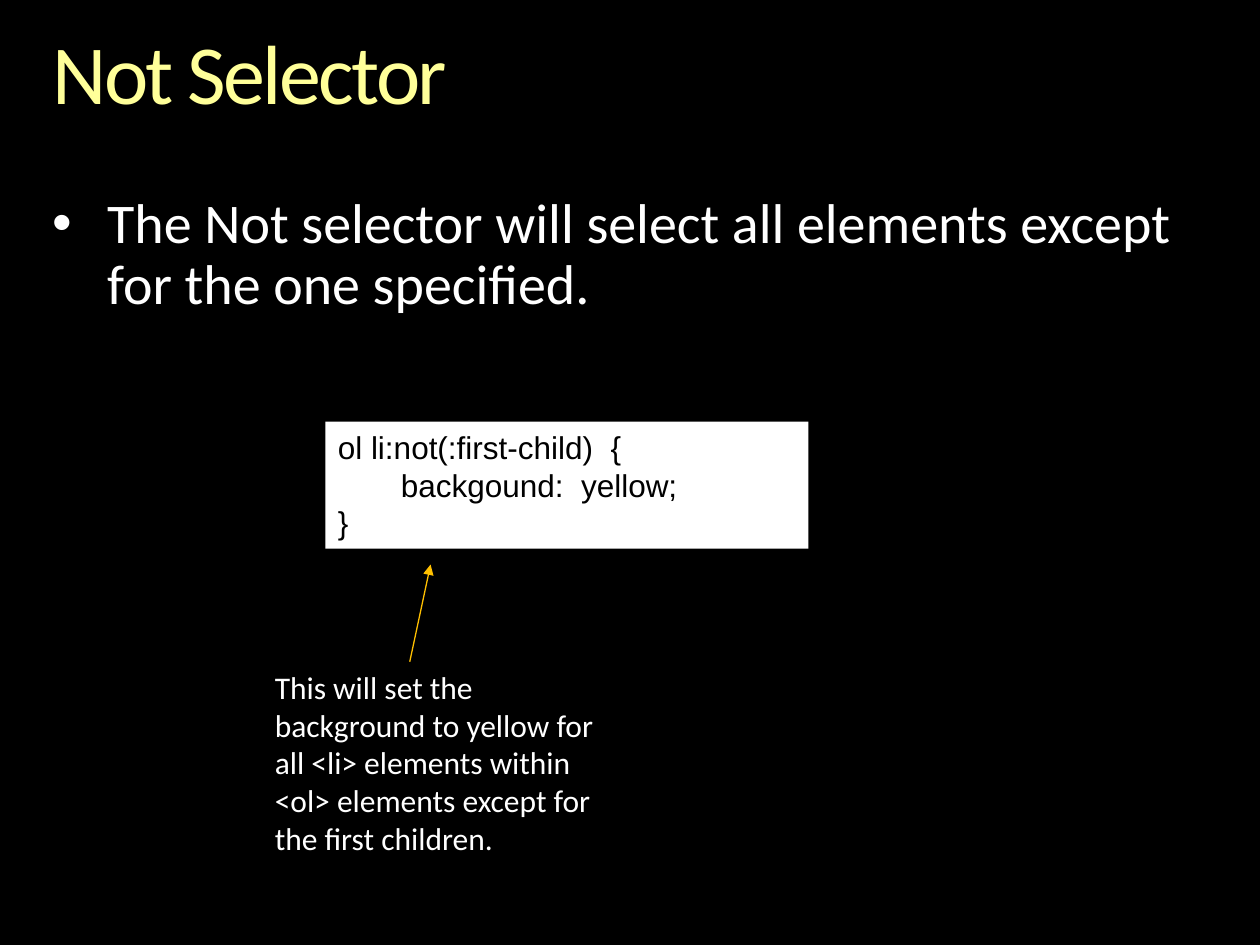
from pptx import Presentation
from pptx.dml.color import RGBColor
from pptx.enum import dml, shapes, text
from pptx.oxml import ns, xmlchemy
from pptx.util import Cm, Pt

BLACK, WHITE, YELLOW, AMBER = "000000", "FFFFFF", "FFFF99", "FFC000"


def paint(color_format, hex_color):
    color_format.rgb = RGBColor.from_string(hex_color)


def add_child(parent, tag, **attributes):
    """Append a DrawingML element that python-pptx has no method for."""
    child = xmlchemy.OxmlElement(tag)
    for name, value in attributes.items():
        child.set(name, value)
    parent.append(child)
    return child


def write(shape, content, size=18, font="Calibri", color=WHITE,
          line_spacing=None, tracking=None, bullet_indent=None, margin=None):
    """Fill a shape with one paragraph per line of content."""
    frame = shape.text_frame
    frame.word_wrap = True
    frame.vertical_anchor = text.MSO_ANCHOR.TOP
    if margin is not None:
        frame.margin_left = frame.margin_right = margin
        frame.margin_top = frame.margin_bottom = margin
    for index, line in enumerate(content.split("\n")):
        paragraph = frame.add_paragraph() if index else frame.paragraphs[0]
        paragraph.alignment = text.PP_ALIGN.LEFT
        paragraph.line_spacing = line_spacing
        if bullet_indent:
            properties = paragraph._p.get_or_add_pPr()
            properties.set("marL", str(bullet_indent))
            properties.set("indent", str(-bullet_indent))
            add_child(properties, "a:buFont", typeface="Arial")
            add_child(properties, "a:buChar", char="•")
        run = paragraph.add_run()
        run.text = line
        run.font.size = Pt(size)
        run.font.name = font
        paint(run.font.color, color)
        if tracking is not None:
            run._r.get_or_add_rPr().set("spc", str(round(tracking * 100)))


class SlideBuilder:
    def __init__(self, slide, background=BLACK):
        self.slide = slide
        slide.background.fill.solid()
        paint(slide.background.fill.fore_color, background)

    def text_box(self, left, top, width, height, content, **style):
        box = self.slide.shapes.add_textbox(Cm(left), Cm(top), Cm(width), Cm(height))
        write(box, content, **style)

    def code_box(self, left, top, width, height, code):
        box = self.slide.shapes.add_shape(
            shapes.MSO_SHAPE.RECTANGLE, Cm(left), Cm(top), Cm(width), Cm(height))
        box.shadow.inherit = False
        box.fill.solid()
        paint(box.fill.fore_color, WHITE)
        box.line.fill.background()
        write(box, code, font="Arial", color=BLACK)

    def arrow(self, start_x, start_y, end_x, end_y, color=AMBER):
        arrow = self.slide.shapes.add_connector(
            shapes.MSO_CONNECTOR.STRAIGHT,
            Cm(start_x), Cm(start_y), Cm(end_x), Cm(end_y))
        arrow.line.width = Pt(0.75)
        arrow.line.dash_style = dml.MSO_LINE.SOLID
        paint(arrow.line.color, color)
        properties = arrow._element.spPr
        add_child(properties.find(ns.qn("a:ln")), "a:tailEnd", type="triangle")
        add_child(properties, "a:effectLst")


def main():
    presentation = Presentation()
    presentation.slide_width, presentation.slide_height = Cm(25.4), Cm(19.05)
    slide = presentation.slides.add_slide(presentation.slide_layouts[6])
    builder = SlideBuilder(slide)

    builder.text_box(1.06, 0.64, 23.28, 1.85, "Not Selector", size=48,
                     color=YELLOW, line_spacing=0.9, tracking=-1.5, margin=0)
    builder.text_box(
        1.06, 3.94, 23.28, 2.46,
        "The Not selector will select all elements except for the one specified.",
        size=32, line_spacing=0.9, bullet_indent=Cm(1.1), margin=0)
    builder.code_box(6.56, 8.5, 9.74, 2.56,
                     "ol li:not(:first-child)  {\n\tbackgound:  yellow;\n}")
    builder.text_box(
        5.29, 13.34, 7.41, 4.11,
        "This will set the background to yellow for all <li> elements within "
        "<ol> elements except for the first children.")
    builder.arrow(8.26, 13.34, 8.68, 11.38)

    presentation.save("out.pptx")


if __name__ == "__main__":
    main()
